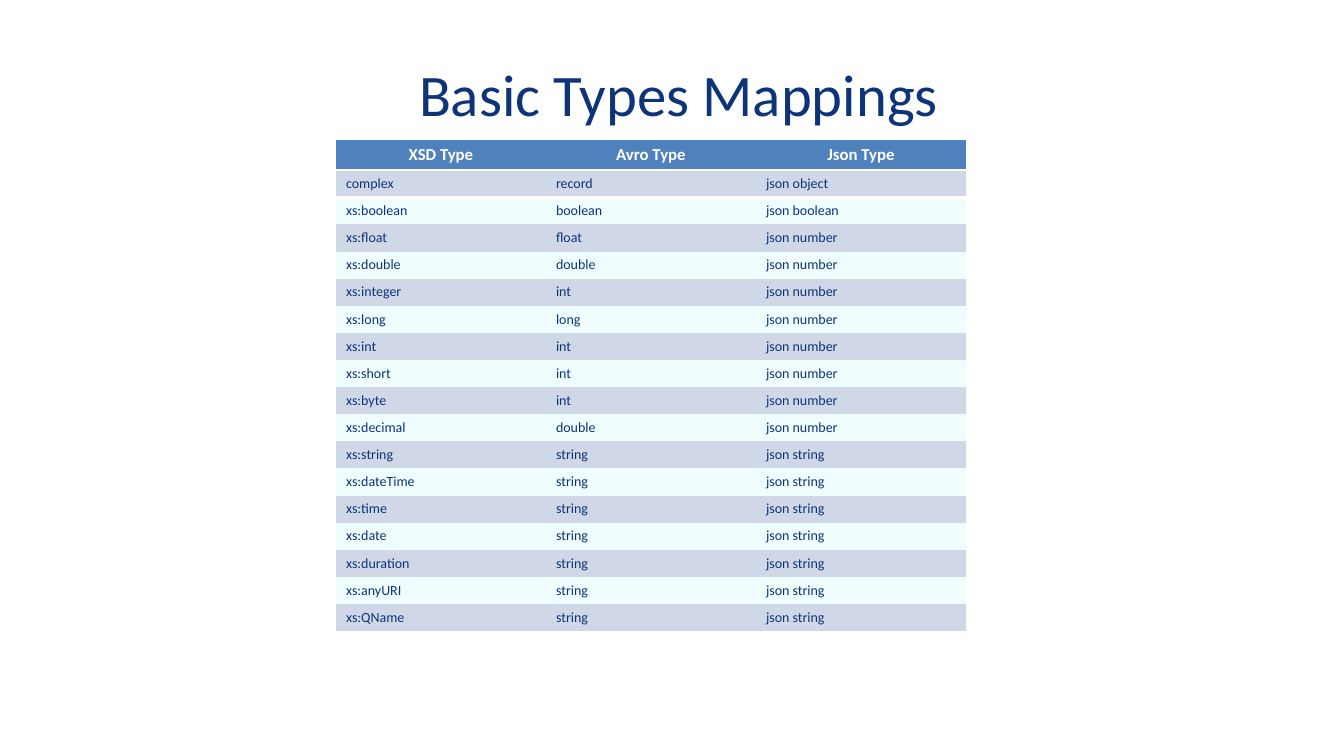
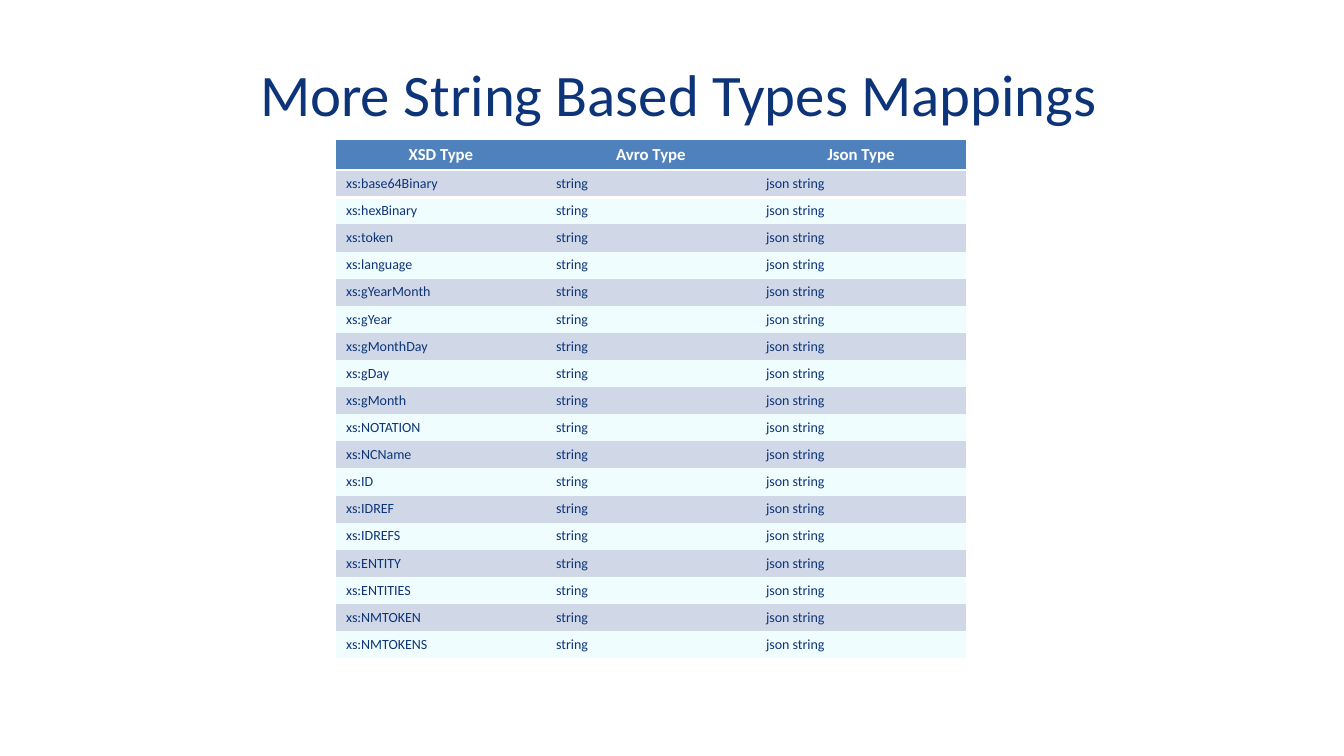
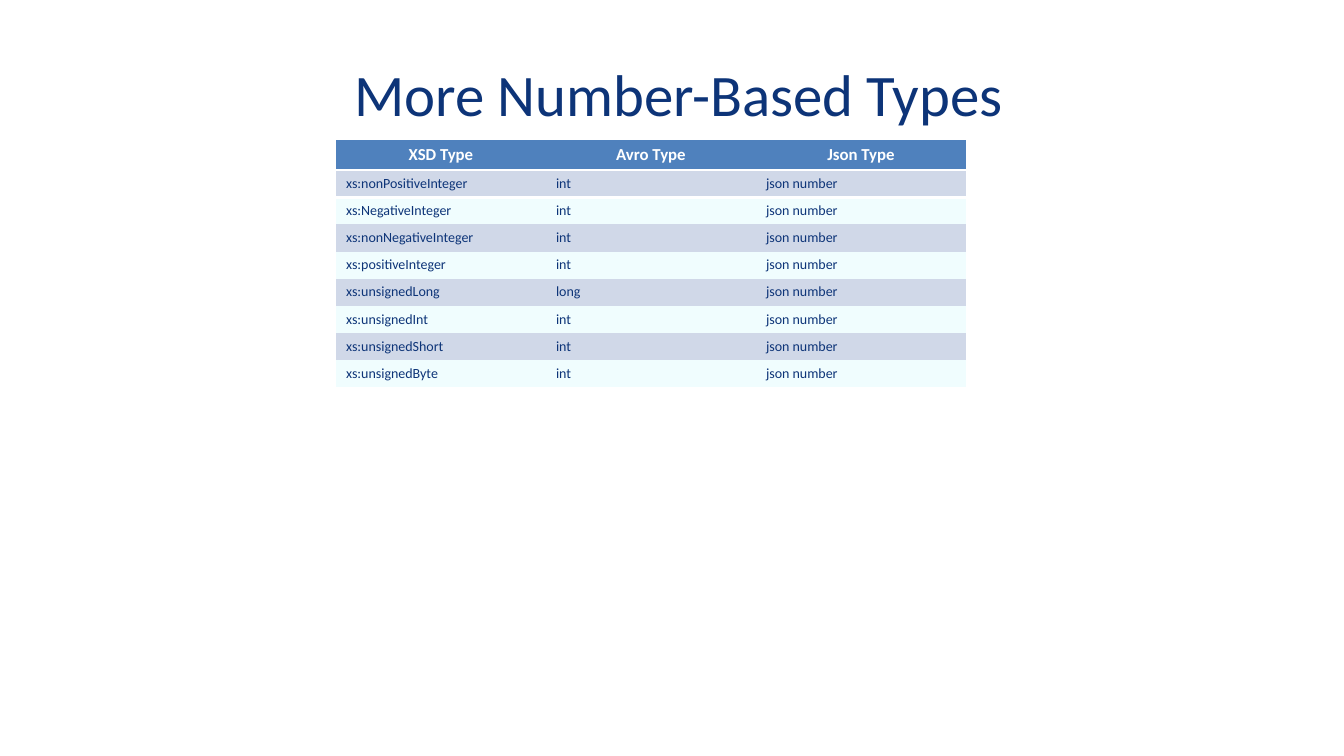
"""Builds three slides that map XSD types to Avro and JSON types."""
from lxml import etree
from pptx import Presentation
from pptx.dml.color import RGBColor
from pptx.enum.text import MSO_ANCHOR, PP_ALIGN
from pptx.oxml.ns import qn
from pptx.util import Pt

PX = 9525
CENTER, LEFT = PP_ALIGN.CENTER, PP_ALIGN.LEFT
MIDDLE, TOP = MSO_ANCHOR.MIDDLE, MSO_ANCHOR.TOP
NAVY = RGBColor(0x0D, 0x34, 0x78)
BLUE = RGBColor(0x4F, 0x81, 0xBD)
GREY = RGBColor(0xD0, 0xD8, 0xE8)
PALE = RGBColor(0xF0, 0xFD, 0xFE)
WHITE = RGBColor(0xFF, 0xFF, 0xFF)

TITLE = {"name": "Calibri", "size": Pt(42), "bold": False}
HEAD = {"name": "Calibri", "size": Pt(12), "bold": True}
BODY = {"name": "Calibri", "size": Pt(10), "bold": False}
PLAIN = "{2D5ABB26-0587-4C30-8999-92F81FD0307C}"
HEADS = ("XSD Type", "Avro Type", "Json Type")
JSON = {"record": "object", "boolean": "boolean", "float": "number",
        "double": "number", "int": "number", "long": "number",
        "string": "string"}

SLIDES = (
    (" Basic Types Mappings", (
        ("record", "complex"),
        ("boolean", "xs:boolean"),
        ("float", "xs:float"),
        ("double", "xs:double"),
        ("int", "xs:integer"),
        ("long", "xs:long"),
        ("int", "xs:int xs:short xs:byte"),
        ("double", "xs:decimal"),
        ("string", "xs:string xs:dateTime xs:time xs:date xs:duration "
                   "xs:anyURI xs:QName"))),
    (" More String Based Types Mappings", (
        ("string", "xs:base64Binary xs:hexBinary xs:token xs:language "
                   "xs:gYearMonth xs:gYear xs:gMonthDay xs:gDay xs:gMonth "
                   "xs:NOTATION xs:NCName xs:ID xs:IDREF xs:IDREFS "
                   "xs:ENTITY xs:ENTITIES xs:NMTOKEN xs:NMTOKENS"),)),
    (" More Number-Based Types", (
        ("int", "xs:nonPositiveInteger xs:NegativeInteger "
                "xs:nonNegativeInteger xs:positiveInteger"),
        ("long", "xs:unsignedLong"),
        ("int", "xs:unsignedInt xs:unsignedShort xs:unsignedByte"))),
)


def place(shape, *box):
    """Set left, top, width and height in px."""
    for key, val in zip(("left", "top", "width", "height"), box):
        setattr(shape, key, val * PX)


def write(frame, text, style, color, align, anchor):
    """Put one formatted line in a text frame."""
    frame.vertical_anchor = anchor
    para = frame.paragraphs[0]
    para.alignment = align
    run = para.add_run()
    run.text = text
    for key, val in style.items():
        setattr(run.font, key, val)
    run.font.color.rgb = color


def add_title(slide, text):
    """Place and fill the title."""
    title = slide.shapes.title
    place(title, 64, 29, 1152, 120)
    write(title.text_frame, text, TITLE, NAVY, CENTER, MIDDLE)


def add_edge(cell, side):
    """Draw a white 2 pt border on one side of a cell."""
    line = etree.Element(qn("a:" + side), w=str(Pt(2)))
    fill = etree.SubElement(line, qn("a:solidFill"))
    etree.SubElement(fill, qn("a:srgbClr"), val=str(WHITE))
    cell._tc.get_or_add_tcPr().insert(0, line)


def fill_cell(cell, text, row):
    """Format a cell by its row number."""
    cell.fill.solid()
    if row == 0:
        cell.fill.fore_color.rgb = BLUE
        write(cell.text_frame, text, HEAD, WHITE, CENTER, TOP)
        add_edge(cell, "lnB")
        return
    cell.fill.fore_color.rgb = GREY if row % 2 else PALE
    write(cell.text_frame, text, BODY, NAVY, LEFT, TOP)
    if row == 1:
        add_edge(cell, "lnT")


def add_grid(slide, groups):
    """Add the table of type mappings."""
    rows = [HEADS] + [(name, avro, "json " + JSON[avro])
                      for avro, names in groups for name in names.split()]
    frame = slide.shapes.add_table(len(rows), len(HEADS), 0, 0, PX, PX)
    grid = frame.table
    grid.horz_banding = False
    grid._tbl.tblPr.find(qn("a:tableStyleId")).text = PLAIN
    for col in grid.columns:
        col.width = 200 * PX
    for num, texts in enumerate(rows):
        grid.rows[num].height = (21 if num else 24) * PX
        for col, text in enumerate(texts):
            fill_cell(grid.cell(num, col), text, num)
    place(frame, 320, 133)


def main():
    """Build and save the deck."""
    deck = Presentation()
    deck.slide_width, deck.slide_height = 1280 * PX, 720 * PX
    for title, groups in SLIDES:
        slide = deck.slides.add_slide(deck.slide_layouts[5])
        add_title(slide, title)
        add_grid(slide, groups)
    deck.save("out.pptx")


if __name__ == "__main__":
    main()
